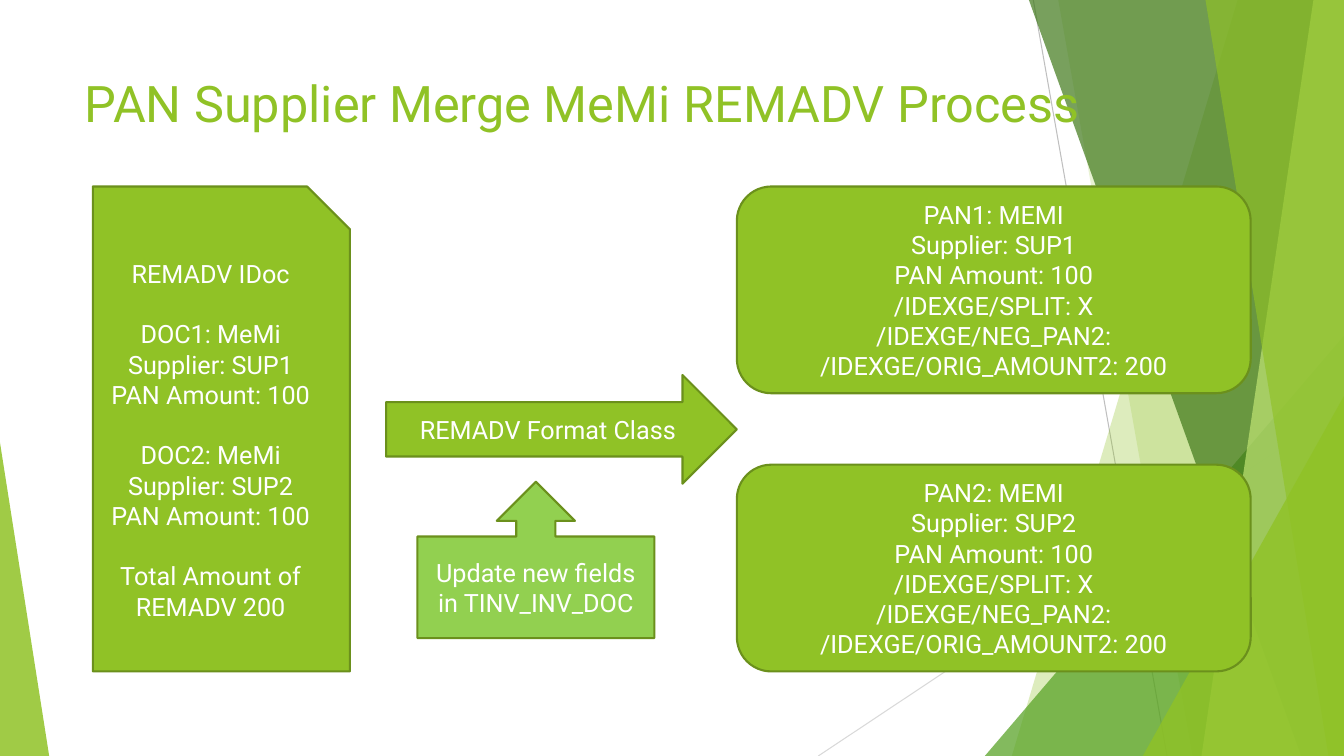
import pptx
import pptx.dml.color
import pptx.enum.shapes
import pptx.enum.text
import pptx.oxml.ns
import pptx.util
import lxml.etree

Cm = pptx.util.Cm
Pt = pptx.util.Pt
Preset = pptx.enum.shapes.MSO_SHAPE
Align = pptx.enum.text.PP_ALIGN
Anchor = pptx.enum.text.MSO_ANCHOR
qn = pptx.oxml.ns.qn

WIDTH, HEIGHT = 33.87, 19.05
GREEN, EDGE = "90C226", "6B901C"


def rgb(value):
    return pptx.dml.color.RGBColor.from_string(value)


def write_text(frame, lines, size=18, color="FFFFFF", align=Align.CENTER,
               anchor=Anchor.MIDDLE, font="Roboto", gaps=(), gap=21.6):
    frame.word_wrap = True
    frame.vertical_anchor = anchor
    for index, line in enumerate(lines):
        paragraph = frame.paragraphs[0] if index == 0 else frame.add_paragraph()
        paragraph.alignment = align
        if index in gaps:
            paragraph.space_before = Pt(gap)
        run = paragraph.add_run()
        run.text = line
        run.font.size = Pt(size)
        run.font.name = font
        run.font.color.rgb = rgb(color)


class SlideBuilder:
    """Hold the style and the current slide, and draw each kind of element."""

    def __init__(self, presentation):
        self.slide = presentation.slides.add_slide(presentation.slide_layouts[5])
        self.shapes = self.slide.shapes

    def line(self, start, end, color):
        connector = self.shapes.add_connector(
            pptx.enum.shapes.MSO_CONNECTOR.STRAIGHT, *map(Cm, start + end))
        connector.line.color.rgb = rgb(color)
        connector.line.width = Pt(0.75)
        lxml.etree.SubElement(connector._element.spPr, qn("a:effectLst"))

    def paint(self, shape, color, opacity):
        shape.shadow.inherit = False
        shape.line.fill.background()
        shape.fill.solid()
        shape.fill.fore_color.rgb = rgb(color)
        color_element = shape._element.spPr.find(qn("a:solidFill"))[0]
        alpha = lxml.etree.SubElement(color_element, qn("a:alpha"))
        alpha.set("val", str(opacity * 1000))

    def facet(self, top_left, bottom_left, color, opacity):
        corners = [(top_left, 0), (WIDTH, 0), (WIDTH, HEIGHT), (bottom_left, HEIGHT)]
        points = [(Cm(x), Cm(y)) for x, y in corners]
        builder = self.shapes.build_freeform(*points[0])
        builder.add_line_segments(points[1:], close=True)
        self.paint(builder.convert_to_shape(), color, opacity)

    def triangle(self, left, top, width, apex, color, opacity):
        shape = self.shapes.add_shape(
            Preset.ISOSCELES_TRIANGLE, *map(Cm, (left, top, width, HEIGHT - top)))
        shape.adjustments[0] = apex
        self.paint(shape, color, opacity)

    def title(self, text, box):
        title = self.shapes.title
        title.left, title.top, title.width, title.height = map(Cm, box)
        title.text_frame.auto_size = pptx.enum.text.MSO_AUTO_SIZE.NONE
        write_text(title.text_frame, [text], size=36, color=GREEN,
                   align=Align.LEFT, anchor=Anchor.TOP)
        self.shapes._spTree.append(title._element)

    def box(self, preset, box, lines, fill=GREEN, gaps=()):
        shape = self.shapes.add_shape(preset, *map(Cm, box))
        shape.shadow.inherit = False
        shape.fill.solid()
        shape.fill.fore_color.rgb = rgb(fill)
        shape.line.color.rgb = rgb(EDGE)
        shape.line.width = Pt(1.5)
        write_text(shape.text_frame, lines, gaps=gaps)


def document_lines(label, number):
    return [f"{label}{number}: ", f"Supplier: SUP{number}", "PAN Amount: 100"]


def main():
    presentation = pptx.Presentation()
    presentation.slide_width = Cm(WIDTH)
    presentation.slide_height = Cm(HEIGHT)
    builder = SlideBuilder(presentation)

    builder.line((26.04, 0), (29.41, HEIGHT), "BFBFBF")
    builder.line((WIDTH, 10.24), (20.62, HEIGHT), "D9D9D9")
    builder.facet(31.19, 25.5, GREEN, 30)
    builder.facet(26.67, 30.05, GREEN, 20)
    builder.triangle(24.82, 8.46, 9.05, 1, "54A021", 72)
    builder.facet(25.93, 32.79, "3F7819", 70)
    builder.facet(33.1, 30.28, "C0E474", 70)
    builder.facet(30.38, 33.48, GREEN, 65)
    builder.triangle(28.8, 9.98, 5.07, 1, GREEN, 80)
    builder.triangle(0, 11.15, 1.24, 0, GREEN, 85)

    builder.title("PAN Supplier Merge MeMi REMADV Process", (1.88, 1.7, 25.81, 3.66))

    idoc_lines = ["REMADV IDoc"]
    for number in (1, 2):
        idoc_lines += [f"DOC{number}: MeMi", f"Supplier: SUP{number}", "PAN Amount: 100"]
    idoc_lines.append("Total Amount of REMADV 200")
    builder.box(Preset.SNIP_1_RECTANGLE, (2.34, 4.7, 6.48, 12.22), idoc_lines,
                gaps=(1, 4, 7))

    for number, top in ((1, 4.7), (2, 11.71)):
        builder.box(Preset.ROUNDED_RECTANGLE, (18.57, top, 12.95, 5.21), [
            f"PAN{number}: MEMI", f"Supplier: SUP{number}", "PAN Amount: 100",
            "/IDEXGE/SPLIT: X", "/IDEXGE/NEG_PAN2:", "/IDEXGE/ORIG_AMOUNT2: 200"])

    builder.box(Preset.RIGHT_ARROW, (9.73, 9.45, 8.84, 2.74), ["REMADV Format Class"])
    builder.box(Preset.UP_ARROW_CALLOUT, (10.52, 12.14, 5.97, 3.94),
                ["Update new fields in TINV_INV_DOC"], fill="92D050")

    presentation.save("out.pptx")


if __name__ == "__main__":
    main()
